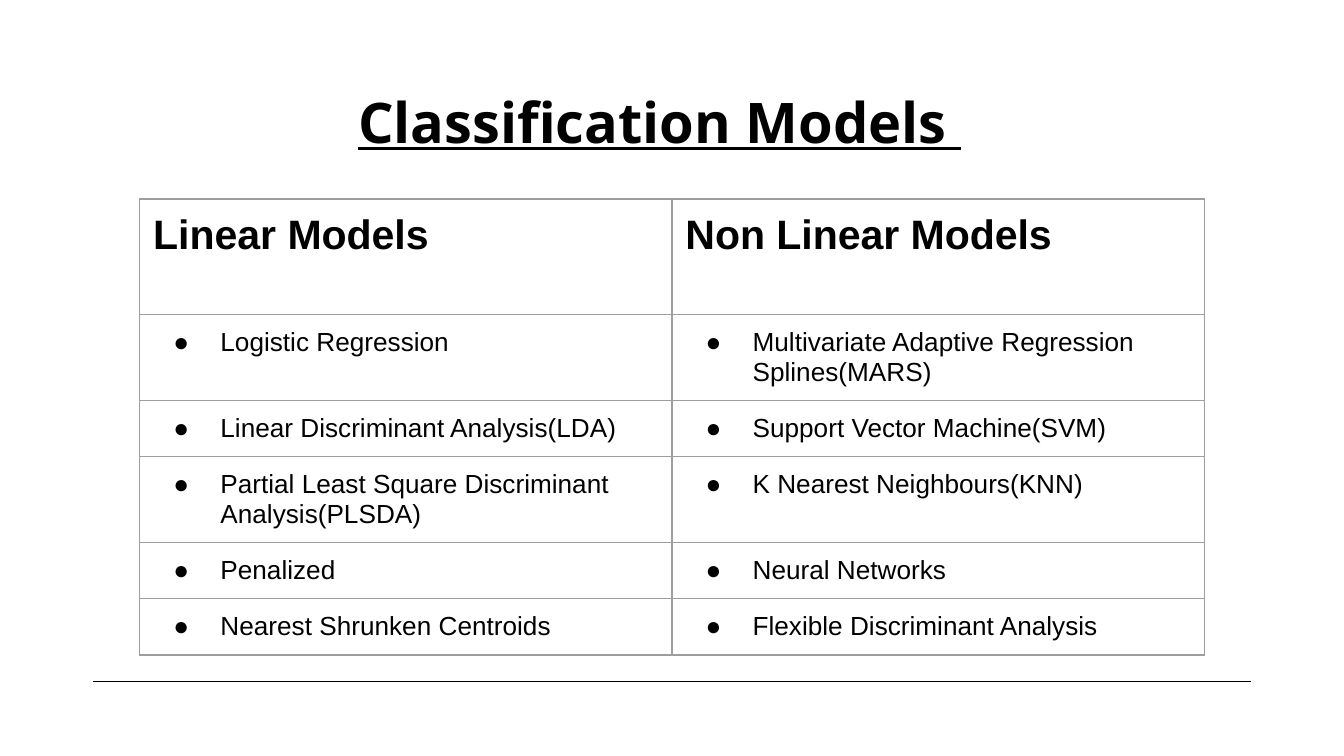
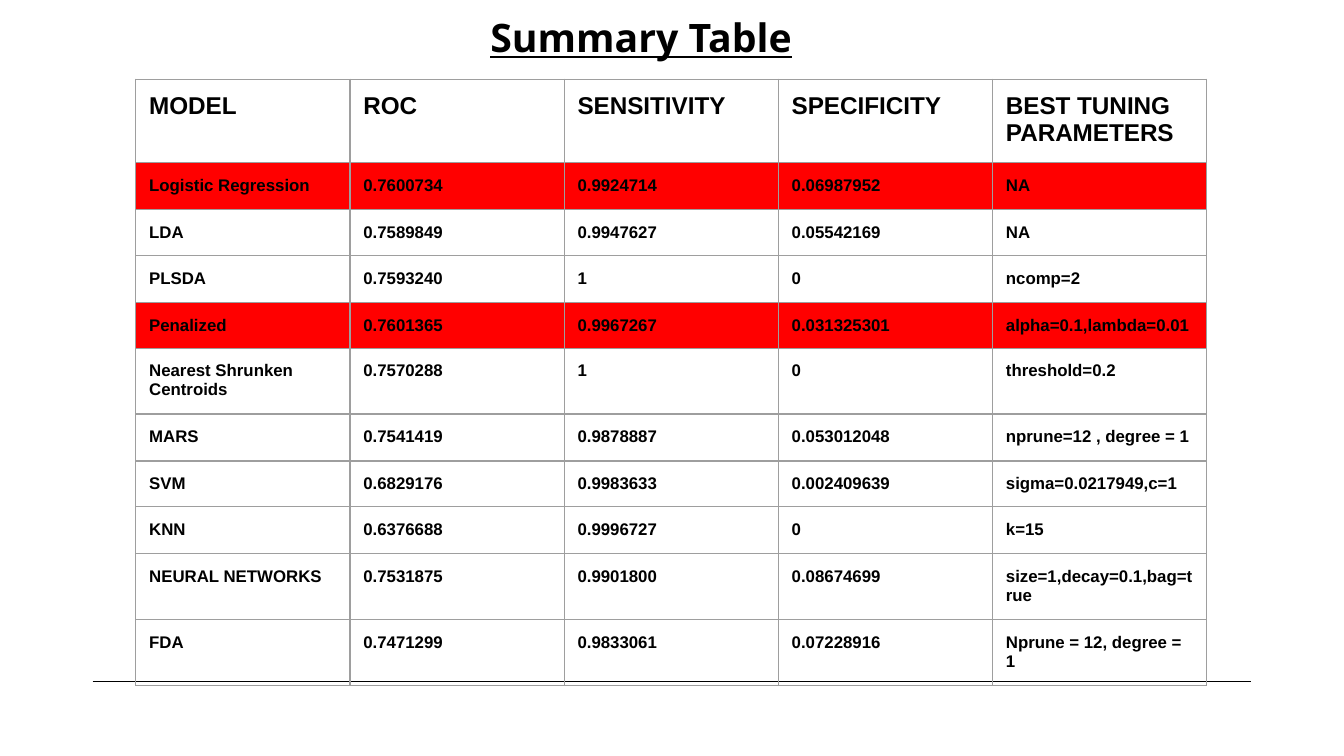
from lxml.etree import SubElement
from pptx import Presentation
from pptx.dml.color import RGBColor
from pptx.enum.shapes import MSO_CONNECTOR as CONN
from pptx.enum.text import PP_ALIGN as ALIGN
from pptx.oxml.ns import qn
from pptx.util import Inches, Pt

BLACK = RGBColor(0x00, 0x00, 0x00)
GREY = RGBColor(0x9E, 0x9E, 0x9E)
RED = RGBColor(0xFF, 0x00, 0x00)
TITLE_FONT, BODY_FONT = "Open Sans", "Arial"
MARGIN = Inches(0.1)

MODELS = [
    ("Linear Models", "Non Linear Models"),
    ("Logistic Regression", "Multivariate Adaptive Regression Splines(MARS)"),
    ("Linear Discriminant Analysis(LDA)", "Support Vector Machine(SVM)"),
    ("Partial Least Square Discriminant Analysis(PLSDA)", "K Nearest Neighbours(KNN)"),
    ("Penalized", "Neural Networks"),
    ("Nearest Shrunken Centroids", "Flexible Discriminant Analysis"),
]

SUMMARY = [
    ("MODEL", "ROC", "SENSITIVITY", "SPECIFICITY", "BEST TUNING PARAMETERS"),
    ("Logistic Regression", "0.7600734", "0.9924714", "0.06987952", "NA"),
    ("LDA", "0.7589849", "0.9947627", "0.05542169", "NA"),
    ("PLSDA", "0.7593240", "1", "0", "ncomp=2"),
    ("Penalized", "0.7601365", "0.9967267", "0.031325301", "alpha=0.1,lambda=0.01"),
    ("Nearest Shrunken Centroids", "0.7570288", "1", "0", "threshold=0.2"),
    ("MARS", "0.7541419", "0.9878887", "0.053012048", "nprune=12 , degree = 1"),
    ("SVM", "0.6829176", "0.9983633", "0.002409639", "sigma=0.0217949,c=1"),
    ("KNN", "0.6376688", "0.9996727", "0", "k=15"),
    ("NEURAL NETWORKS", "0.7531875", "0.9901800", "0.08674699", "size=1,decay=0.1,bag=true"),
    ("FDA", "0.7471299", "0.9833061", "0.07228916", "Nprune = 12, degree = 1"),
]
SUMMARY_HEIGHTS = [0.62, 0.35, 0.34, 0.35, 0.34, 0.49, 0.35, 0.34, 0.35, 0.49, 0.49]
BEST_MODELS = {"Logistic Regression", "Penalized"}


class Deck:
    def __init__(self):
        self.prs = Presentation()
        self.prs.slide_width = Inches(10)
        self.prs.slide_height = Inches(10) * 9 // 16  # widescreen
        self.s = None

    def add_slide(self):
        self.s = self.prs.slides.add_slide(self.prs.slide_layouts[6])
        self.footer_line()

    def footer_line(self):
        y = Inches(5.07)
        line = self.s.shapes.add_connector(CONN.STRAIGHT, Inches(0.69), y, Inches(9.31), y)
        line.line.color.rgb = BLACK
        line.line.width = Pt(0.75)
        SubElement(line._element.spPr, qn("a:effectLst"))

    def style(self, p, font, size, bold=True, underline=None):
        p.font.name, p.font.size = font, Pt(size)
        p.font.bold, p.font.underline = bold, underline
        p.font.color.rgb = BLACK

    def title(self, text, left, top, width, height, size, align=ALIGN.LEFT):
        sp = self.s.shapes.add_textbox(Inches(left), Inches(top), Inches(width), Inches(height))
        tf = sp.text_frame
        tf.word_wrap = True
        tf.margin_left = tf.margin_right = tf.margin_top = tf.margin_bottom = MARGIN
        p = tf.paragraphs[0]
        p.text, p.alignment = text, align
        self.style(p, TITLE_FONT, size, underline=True)

    def table(self, rows, left, top, width, heights, sizes, bullets=False, marked=()):
        """Sizes are (header, body); rows whose first cell is in marked turn red."""
        n_cols = len(rows[0])
        frame = self.s.shapes.add_table(len(rows), n_cols, Inches(left), Inches(top),
                                        Inches(width), Inches(sum(heights)))
        tbl = frame.table
        tbl.first_row = tbl.horz_banding = False
        for col in tbl.columns:
            col.width = Inches(width / n_cols)
        for i, (values, height) in enumerate(zip(rows, heights)):
            tbl.rows[i].height = Inches(height)
            header = i == 0
            for j, value in enumerate(values):
                cell = tbl.cell(i, j)
                cell.margin_left = cell.margin_right = MARGIN
                cell.margin_top = cell.margin_bottom = MARGIN
                self.borders(cell)
                if values[0] in marked:
                    cell.fill.solid()
                    cell.fill.fore_color.rgb = RED
                else:
                    cell.fill.background()
                p = cell.text_frame.paragraphs[0]
                p.text = value
                if bullets and not header:
                    self.bullet(p)
                self.style(p, BODY_FONT, sizes[0 if header else 1], header or not bullets)

    def borders(self, cell):
        tc_pr = cell._tc.get_or_add_tcPr()
        for side in ("lnL", "lnR", "lnT", "lnB"):
            ln = SubElement(tc_pr, qn(f"a:{side}"), w=str(Pt(0.75)))
            fill = SubElement(ln, qn("a:solidFill"))
            SubElement(fill, qn("a:srgbClr"), val=str(GREY))

    def bullet(self, p):
        p_pr = p._p.get_or_add_pPr()
        p_pr.set("marL", str(Inches(0.5)))
        p_pr.set("indent", str(Inches(-0.35)))
        color = SubElement(p_pr, qn("a:buClr"))
        SubElement(color, qn("a:srgbClr"), val=str(BLACK))
        SubElement(p_pr, qn("a:buFont"), typeface=BODY_FONT)
        SubElement(p_pr, qn("a:buChar"), char="●")


def main():
    deck = Deck()

    # Classification models
    deck.add_slide()
    deck.table(MODELS, 1.04, 1.48, 7.92, [0.86] + [0.42] * 5, (22, 14), bullets=True)
    deck.title("Classification Models ", 2.51, 0.55, 4.8, 0.66, 30, ALIGN.CENTER)

    # Summary table
    deck.add_slide()
    deck.table(SUMMARY, 1.01, 0.59, 7.97, SUMMARY_HEIGHTS, (13, 9), marked=BEST_MODELS)
    deck.title("Summary Table", 3.55, 0, 2.91, 0.31, 21)

    deck.prs.save("out.pptx")


if __name__ == "__main__":
    main()
